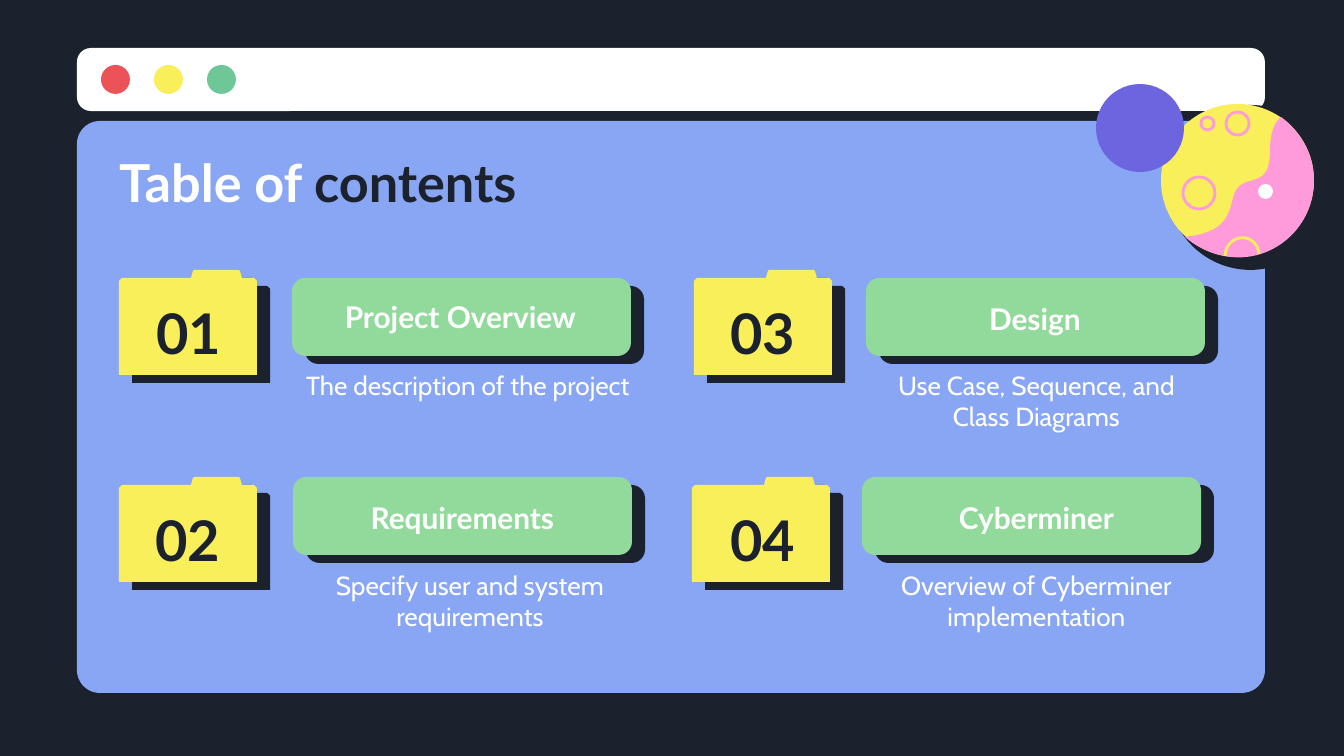
from dataclasses import dataclass

from lxml.etree import SubElement
from pptx import Presentation
from pptx.dml.color import RGBColor
from pptx.enum.shapes import MSO_SHAPE as Preset
from pptx.enum.text import MSO_ANCHOR as Anchor, PP_ALIGN as Align
from pptx.oxml.ns import qn
from pptx.util import Emu, Pt

SCALE = 914400 / 134.4
BUTTON_SIZE = (339, 78)
NUMBER_SIZE = (117, 87)
SHADOW_OFFSET = (13, 8)
FOLDER = [(138, 11), (138, 105), (0, 105), (0, 11), (3, 8), (72, 8), (74, 1),
          (75, 0), (120, 0), (121, 1), (123, 8), (135, 8)]
MOON_SEA = [
    (1281, 117), (1292, 125), (1302, 137), (1308, 151),
    (1312, 160), (1314, 170), (1314, 181),
    (1314, 215), (1292, 244), (1261, 254),
    (1236, 262), (1207, 256), (1185, 237),
    (1218, 233), (1228, 223), (1233, 198),
    (1240, 169), (1270, 194), (1270, 152),
    (1270, 132), (1275, 122), (1281, 117),
]
MOON_RIM = [(1225, 256), (1227, 232), (1257, 232), (1259, 254)]
CRATERS = [(1183, 177, 32), (1226, 112, 23), (1201, 117, 13)]


@dataclass(frozen=True)
class Theme:
    dark: str = "1B222D"
    white: str = "FFFFFF"
    blue: str = "88A6F3"
    red: str = "EB5358"
    yellow: str = "F8EF5B"
    green: str = "6DC797"
    mint: str = "92D99C"
    pink: str = "FF9BDA"
    purple: str = "6D65E0"
    title: int = 28
    number: int = 30
    heading: int = 16
    body: int = 14
    display_font: str = "Lato"
    body_font: str = "Cabin"


@dataclass(frozen=True)
class Section:
    number: str
    heading: str
    description: str
    folder: tuple
    button: tuple
    number_at: tuple
    heading_box: tuple
    description_box: tuple


THEME = Theme()
SECTIONS = [
    Section("01", "Project Overview", "The description of the project",
            (119, 270), (292, 278), (130, 289), (306, 286, 309, 62), (292, 356, 352, 78)),
    Section("02", "Requirements", "Specify user and system requirements",
            (119, 477), (293, 477), (129, 496), (324, 488, 277, 59), (306, 556, 328, 78)),
    Section("03", "Design", "Use Case, Sequence, and Class Diagrams",
            (694, 270), (866, 278), (704, 289), (875, 286, 320, 66), (872, 356, 329, 78)),
    Section("04", "Cyberminer", "Overview of Cyberminer implementation",
            (692, 477), (862, 477), (704, 496), (898, 488, 277, 59), (872, 556, 329, 78)),
]


def px(length):
    return Emu(round(length * SCALE))


def rgb(color):
    return RGBColor.from_string(color)


def paint(shape, fill=None, line=None):
    shape.shadow.inherit = False
    if fill:
        shape.fill.solid()
        shape.fill.fore_color.rgb = rgb(fill)
    else:
        shape.fill.background()
    if line:
        shape.line.color.rgb = rgb(line)
        shape.line.width = Pt(1.5)
    else:
        shape.line.fill.background()
    return shape


def add_circle(slide, left, top, diameter, fill=None, line=None):
    box = map(px, (left, top, diameter, diameter))
    return paint(slide.shapes.add_shape(Preset.OVAL, *box), fill, line)


def add_panel(slide, box, fill, corner):
    panel = slide.shapes.add_shape(Preset.ROUNDED_RECTANGLE, *map(px, box))
    panel.adjustments[0] = corner
    return paint(panel, fill)


def add_outline(slide, points, fill=None, line=None, close=True):
    start, *rest = [(px(x), px(y)) for x, y in points]
    builder = slide.shapes.build_freeform(*start, scale=1.0)
    builder.add_line_segments(rest, close=close)
    return paint(builder.convert_to_shape(), fill, line)


def bezier(points, steps=16):
    curve = [points[0]]
    for first in range(0, len(points) - 1, 3):
        a, b, c, d = points[first:first + 4]
        for step in range(1, steps + 1):
            t = step / steps
            u = 1 - t
            weights = (u ** 3, 3 * u * u * t, 3 * u * t * t, t ** 3)
            curve.append(tuple(sum(w * v for w, v in zip(weights, axis))
                               for axis in zip(a, b, c, d)))
    return curve


def add_text(slide, box, runs, size, font, bold=True, align=Align.CENTER, anchor=Anchor.MIDDLE):
    frame = slide.shapes.add_textbox(*map(px, box)).text_frame
    margins = {f"margin_{side}": Pt(7.2) for side in ("left", "top", "right", "bottom")}
    for name, value in {"word_wrap": True, "vertical_anchor": anchor, **margins}.items():
        setattr(frame, name, value)
    paragraph = frame.paragraphs[0]
    paragraph.alignment = align
    for words, color in runs:
        run = paragraph.add_run()
        run.text = words
        for name, value in {"size": Pt(size), "name": font, "bold": bold}.items():
            setattr(run.font, name, value)
        run.font.color.rgb = rgb(color)


def add_folder(slide, left, top):
    folder = add_outline(slide, [(left + x, top + y) for x, y in FOLDER], THEME.yellow)
    effects = folder._element.spPr.find(qn("a:effectLst"))
    shadow = SubElement(effects, qn("a:outerShdw"), dist=str(Pt(8.2)),
                        dir=str(31 * 60000), algn="bl", rotWithShape="0")
    SubElement(shadow, qn("a:srgbClr"), val=THEME.dark)


def add_button(slide, left, top):
    dx, dy = SHADOW_OFFSET
    add_panel(slide, (left + dx, top + dy, *BUTTON_SIZE), THEME.dark, 0.17)
    add_panel(slide, (left, top, *BUTTON_SIZE), THEME.mint, 0.17)


def add_window(slide):
    add_panel(slide, (77, 48, 1188, 63), THEME.white, 0.22)
    for index, color in enumerate((THEME.red, THEME.yellow, THEME.green)):
        add_circle(slide, 101 + 53 * index, 65, 29, color)
    add_panel(slide, (77, 121, 1188, 572), THEME.blue, 0.04)


def add_moon(slide):
    add_circle(slide, 1168, 105, 165, THEME.dark)
    add_circle(slide, 1161, 104, 153, THEME.yellow)
    for crater in CRATERS:
        add_circle(slide, *crater, line=THEME.pink)
    add_outline(slide, bezier(MOON_SEA), THEME.pink)
    add_outline(slide, bezier(MOON_RIM), line=THEME.yellow, close=False)
    add_circle(slide, 1258, 184, 15, THEME.white)
    add_circle(slide, 1096, 84, 88, THEME.purple)


def add_section(slide, section):
    add_button(slide, *section.button)
    add_folder(slide, *section.folder)
    add_text(slide, (*section.number_at, *NUMBER_SIZE), [(section.number, THEME.dark)],
             THEME.number, THEME.display_font)
    add_text(slide, section.heading_box, [(section.heading, THEME.white)],
             THEME.heading, THEME.display_font)
    add_text(slide, section.description_box, [(section.description, THEME.white)],
             THEME.body, THEME.body_font, bold=False, anchor=Anchor.TOP)


def main():
    deck = Presentation()
    deck.slide_width, deck.slide_height = px(1344), px(756)
    slide = deck.slides.add_slide(deck.slide_layouts[6])
    slide.background.fill.solid()
    slide.background.fill.fore_color.rgb = rgb(THEME.dark)
    add_window(slide)
    add_moon(slide)
    for section in SECTIONS:
        add_section(slide, section)
    add_text(slide, (106, 137, 1133, 83),
             [("Table of ", THEME.white), ("contents", THEME.dark)],
             THEME.title, THEME.display_font, align=Align.LEFT, anchor=Anchor.TOP)
    deck.save("out.pptx")


if __name__ == "__main__":
    main()
